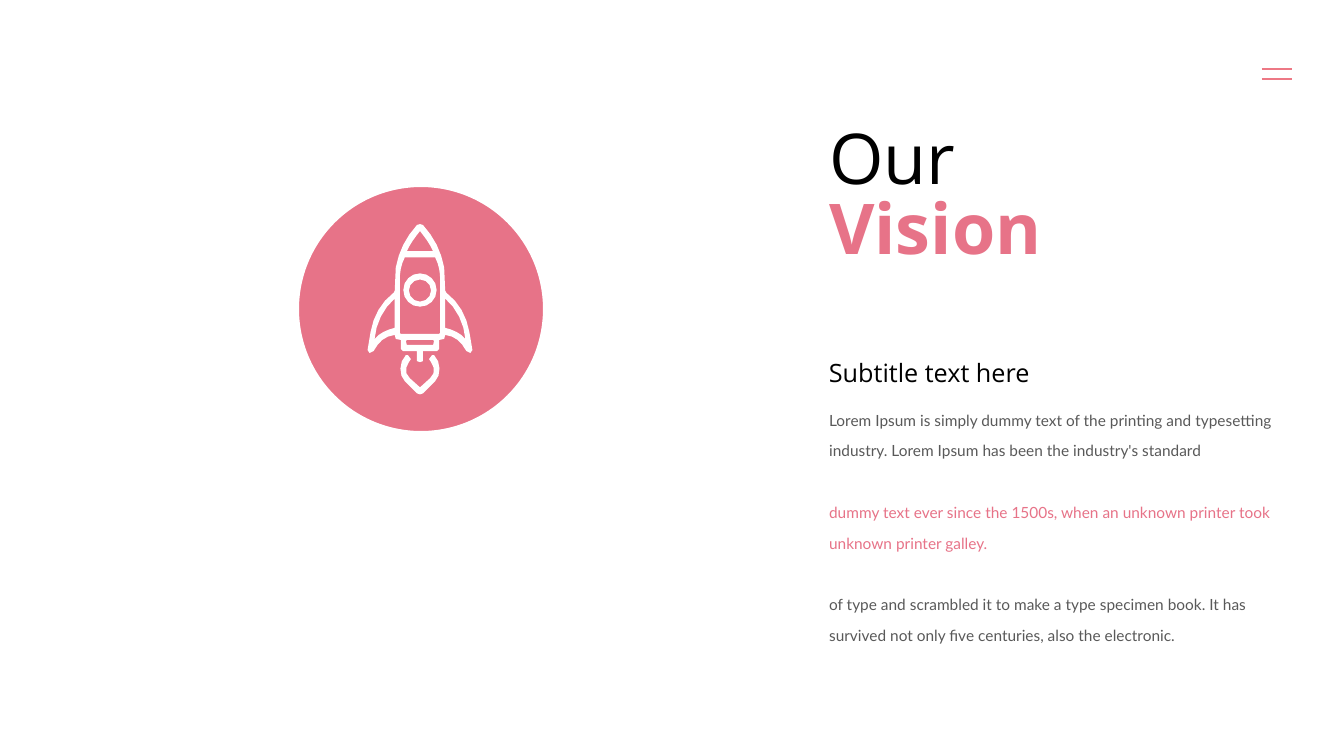
from math import dist

from lxml.etree import SubElement
from pptx import Presentation
from pptx.dml.color import RGBColor
from pptx.enum.shapes import MSO_CONNECTOR as Connector, MSO_SHAPE as Shape
from pptx.enum.text import MSO_ANCHOR as Anchor, MSO_AUTO_SIZE as AutoSize, PP_ALIGN as Align
from pptx.oxml.ns import qn
from pptx.util import Pt

PX = 914400 / 100.8
PINK, ROSE, WHITE, BLACK, GRAY = "E77388", "ED7885", "FFFFFF", "000000", "595959"
HEADING_FONT, BODY_FONT = "Open Sans", "Lato"
TEXT_LEFT, TEXT_WIDTH = 819, 468

# Rocket: right halves from the axis, in hundredths of an inch.
# Pairs are line ends, sextuples are cubic curves.
FINE = 10
ICON_SCALE = 9144 / FINE
ROCKET_HALVES = {
    "hull": [(0, 1), (3, 2), (14, 14, 21, 28, 24, 44), (25, 67), (26, 69),
             (39, 79, 46, 92, 49, 108), (52, 126), (50, 129), (46, 127),
             (41, 118, 35, 112, 25, 111), (24, 115), (19, 116), (19, 125),
             (17, 127), (3, 127), (3, 137), (0, 138)],
    "nose": [(0, 8), (5, 14, 10, 21, 13, 28), (0, 28)],
    "body": [(0, 34), (15, 34), (19, 42, 20, 49, 20, 56), (20, 109),
             (19, 110), (0, 110)],
    "nozzle": [(0, 116), (13, 116), (14, 117), (13, 121), (0, 121)],
    "window rim": [(0, 50), (9, 50, 16.5, 57, 16.5, 66.5), (16.5, 76, 9, 83, 0, 83)],
    "window glass": [(0, 56), (6, 56, 11, 61, 11, 67), (11, 73, 6, 78, 0, 78)],
    "flame": [(0, 170), (3, 169), (15, 157), (21, 151, 21, 138, 14, 131),
              (12, 131), (9, 135), (11, 138), (15, 143, 15, 150, 10, 154), (0, 163)],
}
FIN = [(25, 75), (36, 84, 44, 100, 45, 115), (40, 109, 33, 106, 25, 104)]


def color(hex_string):
    return RGBColor.from_string(hex_string)


def px(*lengths):
    return [round(length * PX) for length in lengths]


def place(shape, *box):
    shape.left, shape.top, shape.width, shape.height = px(*box)


def write(shape, lines, size, font, spacing=None, gap=0):
    """Fill a text shape; each line is (text, colour, bold)."""
    frame = shape.text_frame
    frame.word_wrap = True
    frame.auto_size = AutoSize.NONE
    frame.vertical_anchor = Anchor.MIDDLE
    frame.text = "\n".join(text for text, _, _ in lines)
    for index, (paragraph, (_, tint, bold)) in enumerate(zip(frame.paragraphs, lines)):
        properties = paragraph._p.get_or_add_pPr()
        properties.set("marL", "0")
        properties.set("indent", "0")
        SubElement(properties, qn("a:buNone"))
        paragraph.alignment = Align.LEFT
        paragraph.space_before = Pt(gap if index else 0)
        if spacing:
            paragraph.line_spacing = Pt(spacing)
        for run in paragraph.runs:
            run.font.name, run.font.size, run.font.bold = font, Pt(size), bold
            run.font.color.rgb = color(tint)


def add_menu_mark(slide, left, right, tops):
    group = slide.shapes.add_group_shape()
    for top in tops:
        bar = group.shapes.add_connector(Connector.STRAIGHT, *px(left, top, right, top))
        bar.line.color.rgb = color(ROSE)
        bar.line.width = Pt(1.5)
        SubElement(bar._element.spPr, qn("a:effectLst"))


def add_disc(slide, *box):
    disc = slide.shapes.add_shape(Shape.OVAL, *px(*box))
    disc.shadow.inherit = False
    disc.fill.solid()
    disc.fill.fore_color.rgb = color(PINK)
    disc.line.color.rgb = color(WHITE)
    disc.line.width = Pt(10)


def trace(segments):
    """Turn lines and cubic curves into points, more of them on longer curves."""
    points = []
    for segment in segments:
        if len(segment) == 2:
            points.append(segment)
            continue
        controls = [points[-1], segment[:2], segment[2:4], segment[4:]]
        steps = min(4, 2 + int(dist(controls[0], controls[3]) // 10))
        for step in range(1, steps + 1):
            t = step / steps
            weights = ((1 - t) ** 3, 3 * t * (1 - t) ** 2, 3 * t * t * (1 - t), t ** 3)
            points.append(tuple(sum(weight * point[axis] for weight, point in zip(weights, controls))
                                for axis in (0, 1)))
    return points


def mirror(points):
    return [(-x, y) for x, y in reversed(points)]


def add_rocket(slide, axis, top):
    halves = [trace(half) for half in ROCKET_HALVES.values()]
    fin = trace(FIN)
    # Points on the axis belong to both halves, so the mirrored ones are dropped
    contours = [half + mirror(half)[1:-1] for half in halves] + [fin[:-1] + fin[-1:], mirror(fin)]
    builder = None
    for contour in contours:
        start, *rest = [(x * FINE, y * FINE) for x, y in contour]
        if builder is None:
            builder = slide.shapes.build_freeform(*start, scale=ICON_SCALE)
        else:
            builder.move_to(*start)
        builder.add_line_segments(rest, close=True)
    rocket = builder.convert_to_shape(*px(axis, top))
    rocket.shadow.inherit = False
    rocket.fill.solid()
    rocket.fill.fore_color.rgb = color(WHITE)
    rocket.line.fill.background()


def main():
    presentation = Presentation()
    presentation.slide_width, presentation.slide_height = px(1344, 756)
    slide = presentation.slides.add_slide(presentation.slide_layouts[1])

    # Title, body and subtitle
    title, body = slide.placeholders
    place(title, TEXT_LEFT, 123, TEXT_WIDTH, 152)
    write(title, [("Our", BLACK, False), ("Vision", PINK, True)], 50, HEADING_FONT, spacing=50)
    place(body, TEXT_LEFT, 394, TEXT_WIDTH, 255)
    write(body, [
        ("Lorem Ipsum is simply dummy text of the printing and typesetting industry. "
         "Lorem Ipsum has been the industry's standard", GRAY, False),
        ("dummy text ever since the 1500s, when an unknown printer took "
         "unknown printer galley.", PINK, False),
        ("of type and scrambled it to make a type specimen book. It has survived "
         "not only five centuries, also the electronic.", GRAY, False),
    ], 11, BODY_FONT, spacing=22, gap=22)
    subtitle = slide.shapes.add_textbox(*px(TEXT_LEFT, 352, TEXT_WIDTH, 40))
    write(subtitle, [("Subtitle text here", BLACK, False)], 18, HEADING_FONT)

    # Menu mark and rocket badge
    add_menu_mark(slide, 1262, 1292, (69, 79))
    add_disc(slide, 292, 180, 258, 258)
    add_rocket(slide, 420, 223)

    presentation.save("out.pptx")


if __name__ == "__main__":
    main()
